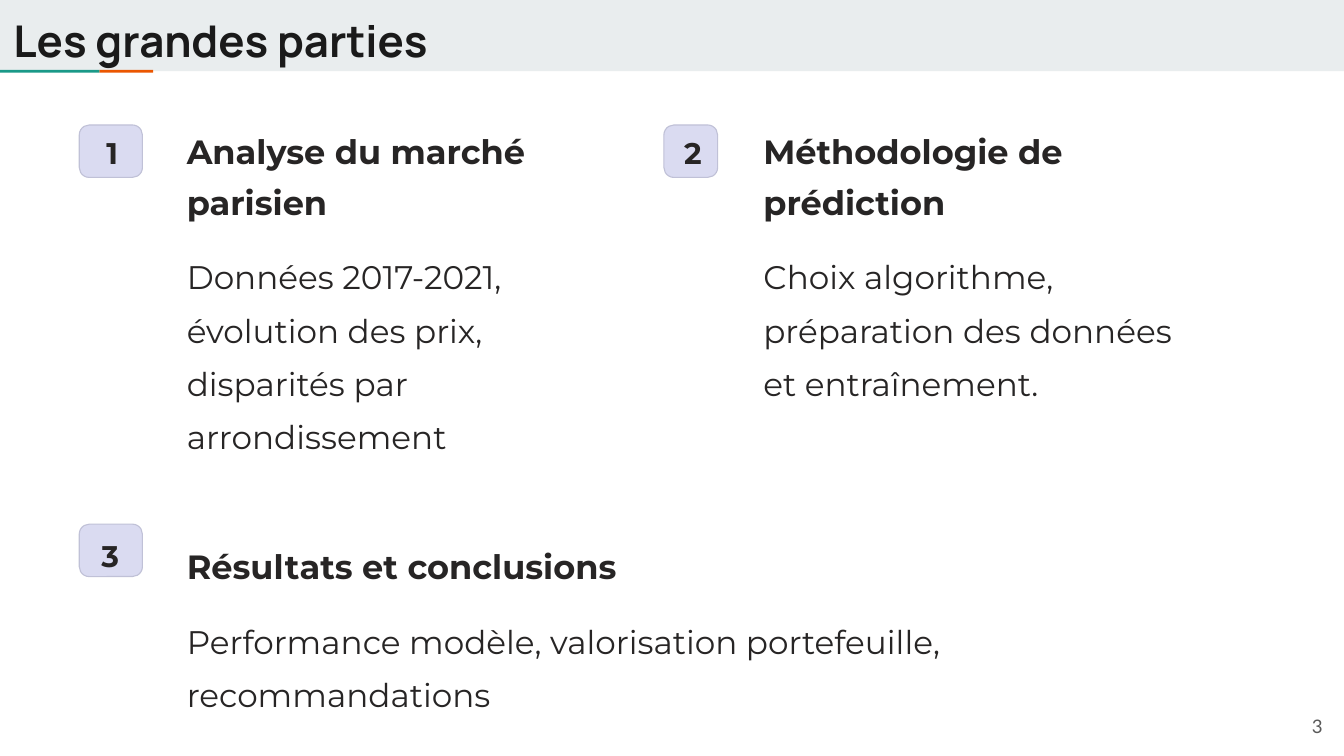
from typing import NamedTuple

from pptx import Presentation
from pptx.dml.color import RGBColor
from pptx.enum.shapes import MSO_SHAPE as Preset
from pptx.enum.text import MSO_ANCHOR as Anchor, PP_ALIGN as Align
from pptx.util import Inches, Pt

SLIDE_WIDTH = 10
SLIDE_HEIGHT = SLIDE_WIDTH * 9 / 16
INK = "272525"


class Box(NamedTuple):
    left: float
    top: float
    width: float
    height: float

    def emu(self) -> list:
        return [Inches(length) for length in self]


class Style(NamedTuple):
    size: float
    font: str = "Montserrat"
    color: str = INK
    bold: bool = False
    align: Align = Align.LEFT
    spacing: float | None = None
    inset: float = 0
    anchor: Anchor = Anchor.TOP


class Part(NamedTuple):
    number: str
    heading: str
    detail: str
    badge: Box
    number_box: Box
    heading_box: Box
    detail_box: Box


TITLE = Style(23.4, "Manrope", "1A1A1A", bold=True, inset=0.1)
NUMBER = Style(16, bold=True, align=Align.CENTER, spacing=26.5)
HEADING = Style(18, bold=True, spacing=27.5)
DETAIL = Style(17.5, spacing=28.5)
PAGE = Style(10, "Lato", "595959", align=Align.RIGHT, inset=0.1, anchor=Anchor.MIDDLE)

PARTS = [
    Part("1", "Analyse du marché parisien",
         "Données 2017-2021, évolution des prix, disparités par arrondissement",
         Box(0.59, 0.93, 0.47, 0.39), Box(0.65, 0.9, 0.37, 0.47),
         Box(1.39, 0.89, 3.17, 0.78), Box(1.39, 1.81, 3.17, 1.59)),
    Part("2", "Méthodologie de prédiction",
         "Choix algorithme, préparation des données et entraînement.",
         Box(4.94, 0.93, 0.4, 0.39), Box(4.97, 0.9, 0.37, 0.47),
         Box(5.68, 0.89, 3.17, 0.78), Box(5.68, 1.81, 3.17, 1.59)),
    Part("3", "Résultats et conclusions",
         "Performance modèle, valorisation portefeuille, recommandations",
         Box(0.59, 3.9, 0.47, 0.39), Box(0.68, 3.9, 0.28, 0.34),
         Box(1.39, 3.98, 3.7, 0.39), Box(1.39, 4.52, 7.46, 0.79)),
]


def rgb(color: str) -> RGBColor:
    return RGBColor.from_string(color)


def write(frame, text: str, style: Style) -> None:
    """Put text in a frame and format it."""
    frame.text = text
    frame.word_wrap = True
    frame.vertical_anchor = style.anchor
    frame.margin_left = frame.margin_right = Inches(style.inset)
    frame.margin_top = frame.margin_bottom = Inches(style.inset)
    paragraph = frame.paragraphs[0]
    paragraph.alignment = style.align
    if style.spacing:
        paragraph.line_spacing = Pt(style.spacing)
    font = paragraph.runs[0].font
    font.name, font.size, font.bold = style.font, Pt(style.size), style.bold
    font.color.rgb = rgb(style.color)


def add_text(slide, box: Box, text: str, style: Style) -> None:
    write(slide.shapes.add_textbox(*box.emu()).text_frame, text, style)


def add_filled(slide, preset: Preset, box: Box, fill: str):
    shape = slide.shapes.add_shape(preset, *box.emu())
    shape.shadow.inherit = False
    shape.fill.solid()
    shape.fill.fore_color.rgb = rgb(fill)
    shape.line.fill.background()
    return shape


def add_header(slide, text: str) -> None:
    for box, fill in [
        (Box(0, 0, SLIDE_WIDTH, 0.53), "E9EDEE"),
        (Box(0.74, 0.52, 0.4, 0.02), "EB5600"),
        (Box(0, 0.52, 0.74, 0.02), "1A9988"),
    ]:
        add_filled(slide, Preset.RECTANGLE, box, fill)
    title = slide.shapes.title
    title.left, title.top, title.width, title.height = Box(0, 0, 8.41, 0.59).emu()
    write(title.text_frame, text, TITLE)
    # The placeholder comes first in the layout: bring it in front of the band.
    title.element.getparent().append(title.element)


def add_part(slide, part: Part) -> None:
    badge = add_filled(slide, Preset.ROUNDED_RECTANGLE, part.badge, "DADBF1")
    badge.adjustments[0] = 0.19
    badge.line.color.rgb = rgb("C0C1D7")
    badge.line.width = Pt(0.6)
    add_text(slide, part.number_box, part.number, NUMBER)
    add_text(slide, part.heading_box, part.heading, HEADING)
    add_text(slide, part.detail_box, part.detail, DETAIL)


def main() -> None:
    deck = Presentation()
    deck.slide_width, deck.slide_height = Inches(SLIDE_WIDTH), Inches(SLIDE_HEIGHT)
    slide = deck.slides.add_slide(deck.slide_layouts[5])
    add_header(slide, "Les grandes parties")
    for part in PARTS:
        add_part(slide, part)
    add_text(slide, Box(9.34, 5.19, 0.6, 0.43), "3", PAGE)
    deck.save("out.pptx")


if __name__ == "__main__":
    main()
